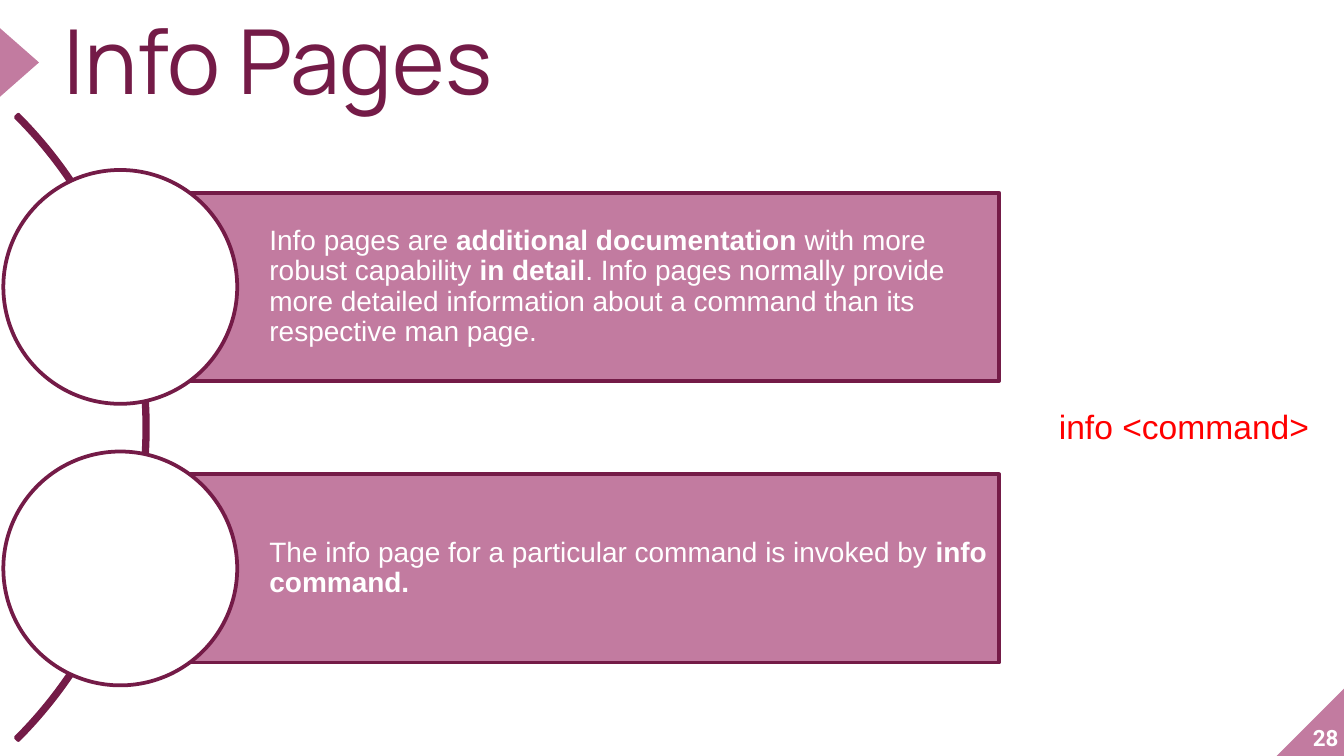
from dataclasses import dataclass

from pptx import Presentation
from pptx.dml.color import RGBColor
from pptx.enum.shapes import MSO_SHAPE
from pptx.enum.text import MSO_ANCHOR, MSO_AUTO_SIZE, PP_ALIGN
from pptx.util import Pt

ARC, RECT, OVAL = MSO_SHAPE.BLOCK_ARC, MSO_SHAPE.RECTANGLE, MSO_SHAPE.OVAL
WEDGE, CORNER = MSO_SHAPE.ISOSCELES_TRIANGLE, MSO_SHAPE.RIGHT_TRIANGLE
TOP, MIDDLE, BOTTOM = MSO_ANCHOR.TOP, MSO_ANCHOR.MIDDLE, MSO_ANCHOR.BOTTOM
LEFT, RIGHT = PP_ALIGN.LEFT, PP_ALIGN.RIGHT
FIXED = MSO_AUTO_SIZE.NONE
PX = 4572


@dataclass(frozen=True)
class Theme:
    pink: str = "C27BA0"
    plum: str = "741B47"
    white: str = "FFFFFF"
    red: str = "FF0000"
    head: str = "Manrope"
    body: str = "Arial"
    num: str = "Roboto"
    head_size: int = 48
    body_size: int = 15
    code_size: int = 18
    num_size: int = 12
    line: int = 2


THEME = Theme()
ROWS = [
    [
        ("Info pages are ", False),
        ("additional documentation", True),
        (" with more robust capability ", False),
        ("in detail", True),
        (". Info pages normally provide more detailed information "
         "about a command than its respective man page.", False),
    ],
    [
        ("The info page for a particular command is invoked by ", False),
        ("info command.", True),
    ],
]


def scale(*box):
    return [n * PX for n in box]


def draw(slide, kind, box, fill=None, line=None):
    shape = slide.shapes.add_shape(kind, *scale(*box))
    shape.shadow.inherit = False
    if fill:
        shape.fill.solid()
        shape.fill.fore_color.rgb = RGBColor.from_string(fill)
    else:
        shape.fill.background()
    if line:
        shape.line.color.rgb = RGBColor.from_string(line)
        shape.line.width = Pt(THEME.line)
    else:
        shape.line.fill.background()
    return shape


def write(shape, runs, font, size, color, pad=(0, 0, 0, 0),
          anchor=TOP, align=LEFT, space=1.0):
    frame = shape.text_frame
    frame.word_wrap = True
    frame.auto_size = FIXED
    frame.vertical_anchor = anchor
    (frame.margin_left, frame.margin_top,
     frame.margin_right, frame.margin_bottom) = scale(*pad)
    para = frame.paragraphs[0]
    para.alignment = align
    para.line_spacing = space
    for text, bold in runs:
        run = para.add_run()
        run.text = text
        run.font.name = font
        run.font.size = Pt(size)
        run.font.bold = bold
        run.font.color.rgb = RGBColor.from_string(color)


def add_head(slide, x, y, w, h):
    mark = draw(slide, WEDGE, (x - 116, y + 26, 102, 58), THEME.pink)
    mark.rotation = 90
    title = slide.shapes.title
    title.left, title.top, title.width, title.height = scale(x, y, w, h)
    write(title, [("Info Pages", False)], THEME.head, THEME.head_size,
          THEME.plum, space=0.8)


def add_row(slide, x, y, w, h, runs):
    inset = 34
    bar = draw(slide, RECT, (x + h // 2, y + inset, w - h // 2, h - 2 * inset),
               THEME.pink, THEME.plum)
    write(bar, runs, THEME.body, THEME.body_size, THEME.white,
          pad=(222, 8, 8, 8), anchor=MIDDLE, space=0.9)
    draw(slide, OVAL, (x, y, h, h), THEME.white, THEME.plum)


def add_list(slide, x, y, w, rows):
    size, pitch = 348, 419
    arc = draw(slide, ARC, (x - 1101, y - 275, 1316, 1316), line=THEME.plum)
    for i, value in enumerate((189, 27, 0.004)):
        arc.adjustments[i] = value
    for i, runs in enumerate(rows):
        add_row(slide, x, y + i * pitch, w, size, runs)


def add_code(slide, x, y, w, h):
    box = slide.shapes.add_textbox(*scale(x, y, w, h))
    write(box, [("info <command>", False)], THEME.body, THEME.code_size,
          THEME.red, pad=(20, 10, 20, 10))


def add_foot(slide, x, y, w, h):
    fold = draw(slide, CORNER, (x, y, w, h), THEME.pink)
    fold._element.spPr.get_or_add_xfrm().set("flipH", "1")
    box = slide.shapes.add_textbox(*scale(x - 8, y - 8, w - 2, h))
    write(box, [("28", True)], THEME.num, THEME.num_size, THEME.white,
          anchor=BOTTOM, align=RIGHT)


def main():
    deck = Presentation()
    deck.slide_width, deck.slide_height = scale(2000, 1125)
    slide = deck.slides.add_slide(deck.slide_layouts[5])
    add_foot(slide, 1900, 1023, 102, 102)
    add_head(slide, 94, 38, 1234, 136)
    add_list(slide, 5, 253, 1482, ROWS)
    add_code(slide, 1556, 594, 436, 80)
    deck.save("out.pptx")


if __name__ == "__main__":
    main()
